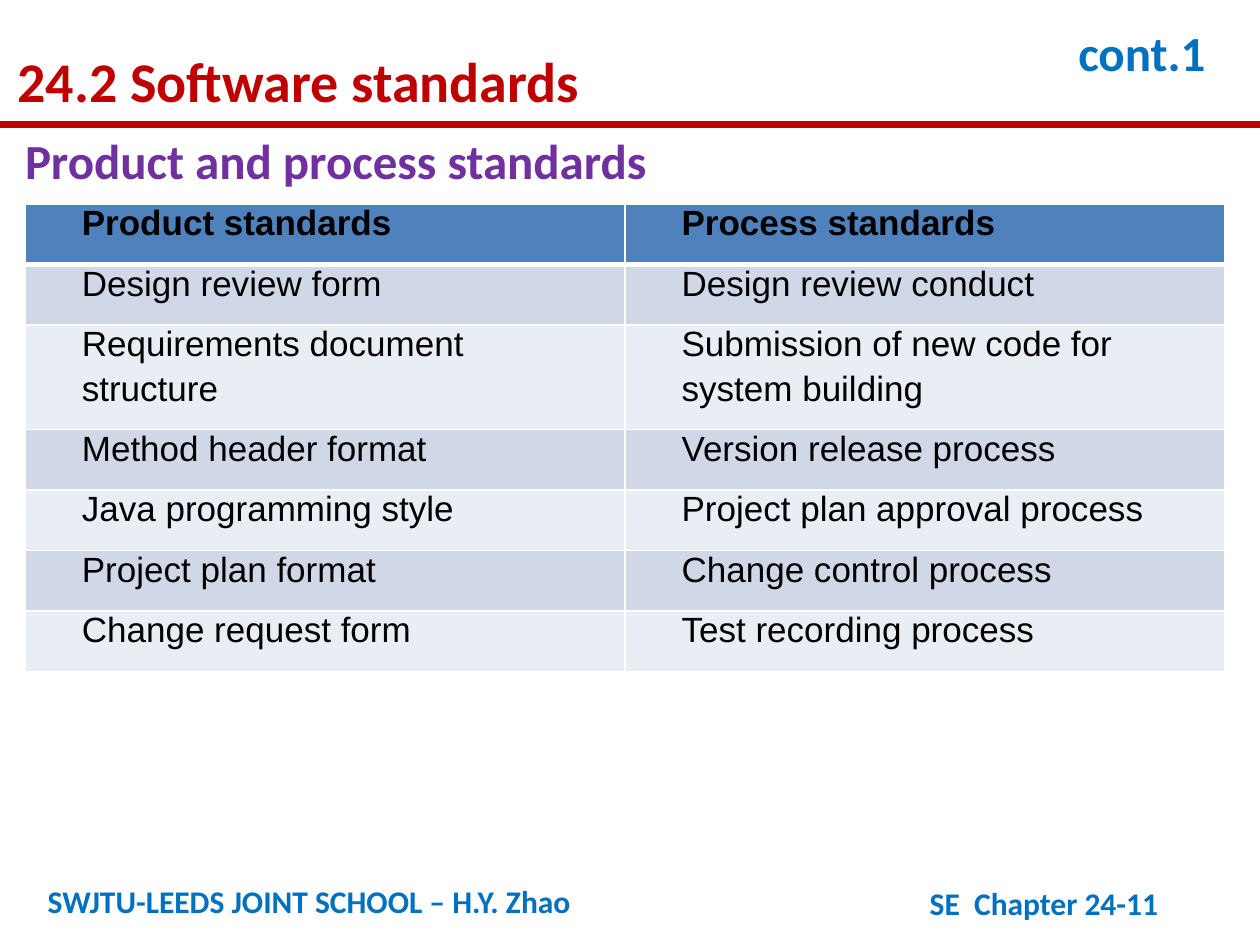
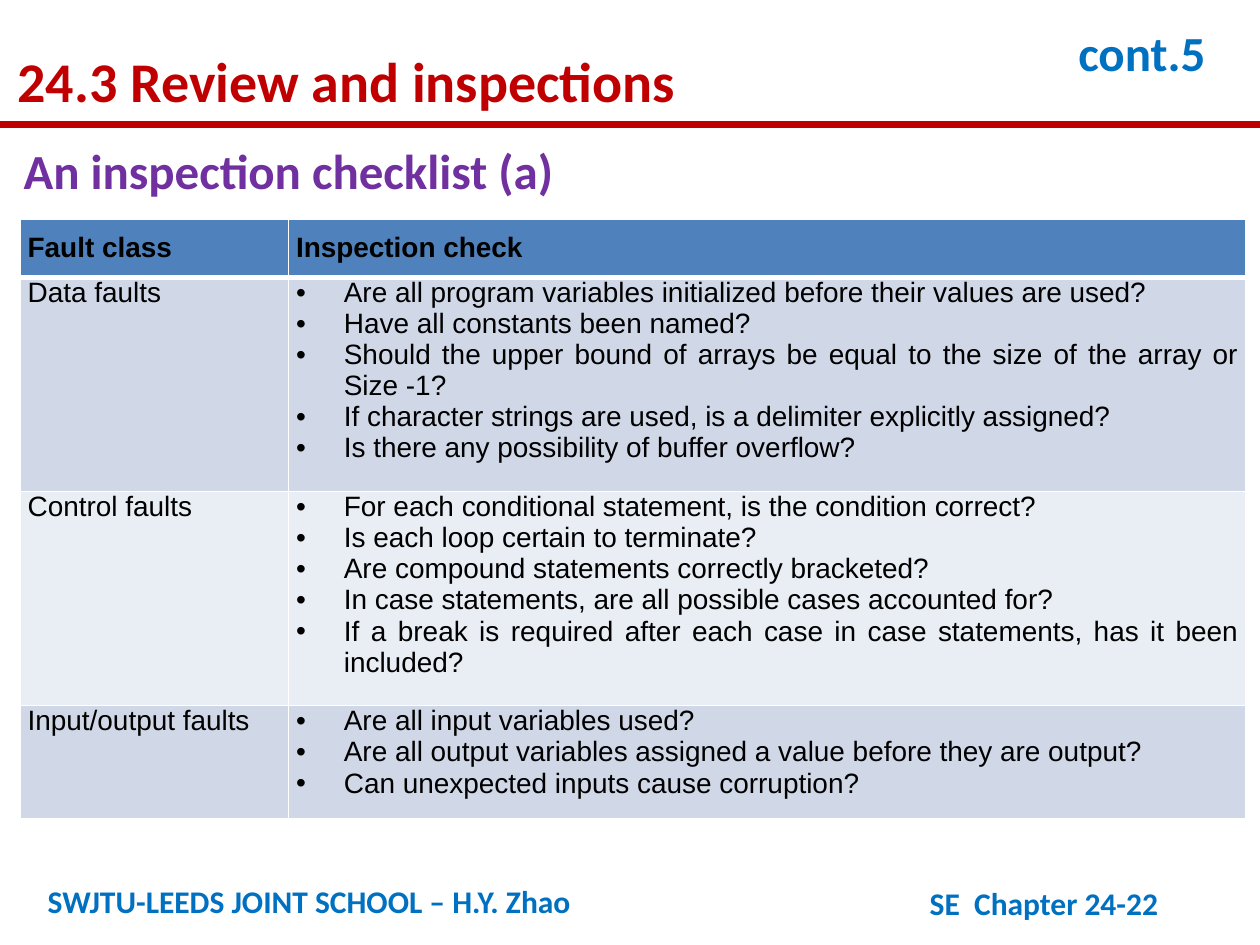
from lxml import etree
from pptx import Presentation
from pptx import util as u
from pptx.dml.color import RGBColor
from pptx.enum import shapes, text
from pptx.oxml.ns import qn

# Content: each cell is a list of paragraphs
SCHOOL = "SWJTU-LEEDS JOINT SCHOOL – H.Y. Zhao"
PAGES = [
    dict(
        title="24.2 Software standards", cont="cont.1", page="SE  Chapter 24-11",
        head="Product and process standards", spot=(0.1, 0.99, 5.19, 0.57),
        left=0.2, top=1.62, cols=(4.76, 4.76),
        rows=(0.48, 0.48, 0.83, 0.48, 0.48, 0.48, 0.48),
        size=20, side=0.07, pad=(0, 0), after=3, dent=0.38, bullets=False,
        cells=[
            (["Product standards"], ["Process standards"]),
            (["Design review form"], ["Design review conduct"]),
            (["Requirements document", "structure"],
             ["Submission of new code for ", "system building"]),
            (["Method header format"], ["Version release process"]),
            (["Java programming style"], ["Project plan approval process"]),
            (["Project plan format"], ["Change control process"]),
            (["Change request form"], ["Test recording process"]),
        ]),
    dict(
        title="24.3 Review and inspections", cont="cont.5", page="SE  Chapter 24-22",
        head="An inspection checklist (a)", spot=(0.09, 1.07, 4.46, 0.57),
        left=0.16, top=1.74, cols=(2.13, 7.6), rows=(0.46, 1.7, 1.7, 0.9),
        size=16, side=0.06, pad=(0.1, 0.1), after=0, dent=0, bullets=True,
        cells=[
            (["Fault class"], ["Inspection check"]),
            (["Data faults"], [
                "Are all program variables initialized before their values are used?",
                "Have all constants been named?",
                "Should the upper bound of arrays be equal to the size of the array or Size -1?",
                "If character strings are used, is a delimiter explicitly assigned?",
                "Is there any possibility of buffer overflow? "]),
            (["Control faults"], [
                "For each conditional statement, is the condition correct?",
                "Is each loop certain to terminate?",
                "Are compound statements correctly bracketed?",
                "In case statements, are all possible cases accounted for?",
                "If a break is required after each case in case statements, has it been included?"]),
            (["Input/output faults"], [
                "Are all input variables used?",
                "Are all output variables assigned a value before they are output?",
                "Can unexpected inputs cause corruption?"]),
        ]),
]

# Shared look
WIDE, HIGH, RULE = 10, 7.5, 0.99
RED, BLUE, PLUM, BLACK, WHITE = "C00000", "0070C0", "7030A0", "000000", "FFFFFF"
HEAD, BANDS = "4F81BD", ("E9EDF4", "D0D8E8")
HANG = 0.38


def tint(code):
    return RGBColor.from_string(code)


def style(par, size, color, face="Calibri", bold=True):
    for run in par.runs:
        font = run.font
        font.name, font.size, font.bold = face, u.Pt(size), bold
        font.color.rgb = tint(color)


def label(box, spot, words, size, color, space=None, wrap=True):
    """Place a text shape and fill it with one styled line."""
    box.left, box.top, box.width, box.height = map(u.Inches, spot)
    frame = box.text_frame
    frame.text = words
    frame.word_wrap = wrap
    frame.auto_size = text.MSO_AUTO_SIZE.NONE
    frame.vertical_anchor = text.MSO_ANCHOR.TOP
    par = frame.paragraphs[0]
    par.alignment = text.PP_ALIGN.LEFT
    if space:
        par.line_spacing = space
    style(par, size, color)


def note(slide, spot, *rest, **more):
    label(slide.shapes.add_textbox(0, 0, 0, 0), spot, *rest, **more)


def edge(cell, row):
    """White borders, heavier between the header and the body."""
    props = cell._tc.get_or_add_tcPr()
    heavy = {0: "lnB", 1: "lnT"}.get(row)
    for spot, side in enumerate(("lnL", "lnR", "lnT", "lnB")):
        line = etree.Element(qn("a:" + side), w=str(u.Pt(3 if side == heavy else 1)))
        fill = etree.SubElement(line, qn("a:solidFill"))
        etree.SubElement(fill, qn("a:srgbClr"), val=WHITE)
        props.insert(spot, line)


def indent(par, left, first, bullet):
    props = par._p.get_or_add_pPr()
    props.set("marL", str(u.Inches(left)))
    props.set("indent", str(u.Inches(first)))
    if bullet:
        etree.SubElement(props, qn("a:buFont"), typeface="Arial")
        etree.SubElement(props, qn("a:buChar"), char="•")


def fill_cell(cell, lines, row, col, page):
    top, base = page["pad"]
    cell.margin_left = cell.margin_right = u.Inches(page["side"])
    cell.margin_top = u.Inches(0 if row else top)
    cell.margin_bottom = u.Inches(base)
    cell.fill.solid()
    cell.fill.fore_color.rgb = tint(BANDS[row % 2] if row else HEAD)
    edge(cell, row)
    cell.text_frame.text = "\n".join(lines)
    plain = page["dent"] and row and col == 0
    for par in cell.text_frame.paragraphs:
        par.alignment = text.PP_ALIGN.LEFT if plain else text.PP_ALIGN.JUSTIFY
        par.space_before = u.Pt(0 if row else page["after"])
        par.space_after = u.Pt(page["after"])
        if page["bullets"] and row and col:
            indent(par, HANG, -HANG, True)
        else:
            indent(par, 0, page["dent"], False)
        style(par, page["size"], BLACK, "Arial", row == 0)


def add_grid(slide, page):
    cols, rows = page["cols"], page["rows"]
    area = map(u.Inches, (page["left"], page["top"], sum(cols), sum(rows)))
    grid = slide.shapes.add_table(len(rows), len(cols), *area).table
    for col, wide in zip(grid.columns, cols):
        col.width = u.Inches(wide)
    for r, (high, cells) in enumerate(zip(rows, page["cells"])):
        grid.rows[r].height = u.Inches(high)
        for c, lines in enumerate(cells):
            fill_cell(grid.cell(r, c), lines, r, c, page)


def add_frame(slide, page):
    """Title, red rule, continuation mark and footers."""
    rule = slide.shapes.add_connector(
        shapes.MSO_CONNECTOR.STRAIGHT, 0, u.Inches(RULE), u.Inches(WIDE), u.Inches(RULE))
    rule.line.color.rgb = tint(RED)
    rule.line.width = u.Pt(4)
    etree.SubElement(rule._element.spPr, qn("a:effectLst"))
    note(slide, (0.28, 6.95, 6.31, 0.4), SCHOOL, 18, BLUE)
    note(slide, (7.28, 6.97, 2.61, 0.4), page["page"], 18, BLUE)
    label(slide.shapes.title, (0.04, 0.21, 8.43, 0.7), page["title"], 32, RED, 1.2)
    note(slide, (8.46, 0.21, 1.5, 0.5), page["cont"], 28, BLUE, u.Pt(28))


def main():
    deck = Presentation()
    deck.slide_width, deck.slide_height = u.Inches(WIDE), u.Inches(HIGH)
    for page in PAGES:
        slide = deck.slides.add_slide(deck.slide_layouts[5])
        add_frame(slide, page)
        add_grid(slide, page)
        note(slide, page["spot"], page["head"], 28, PLUM, wrap=False)
    deck.save("out.pptx")


if __name__ == "__main__":
    main()
